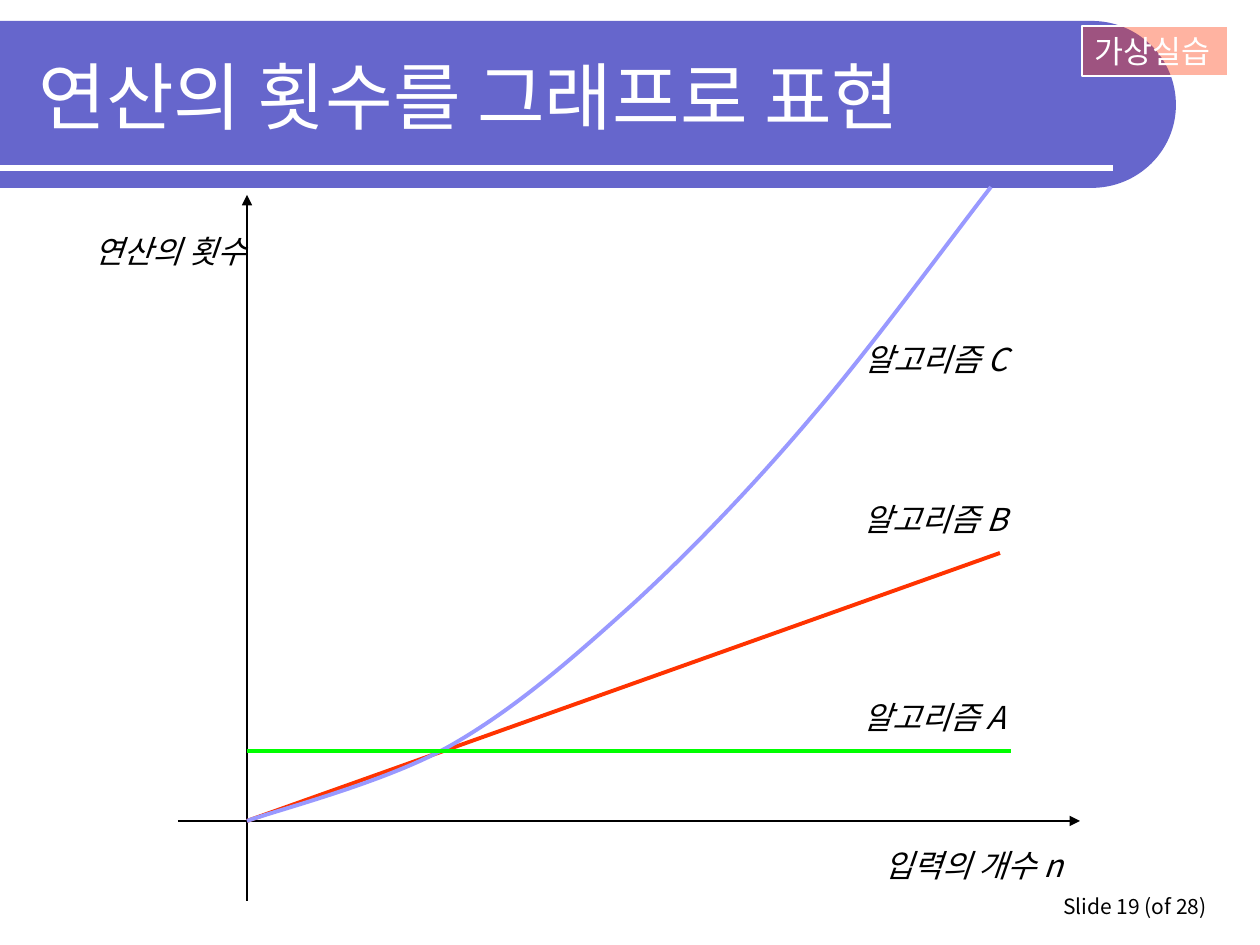
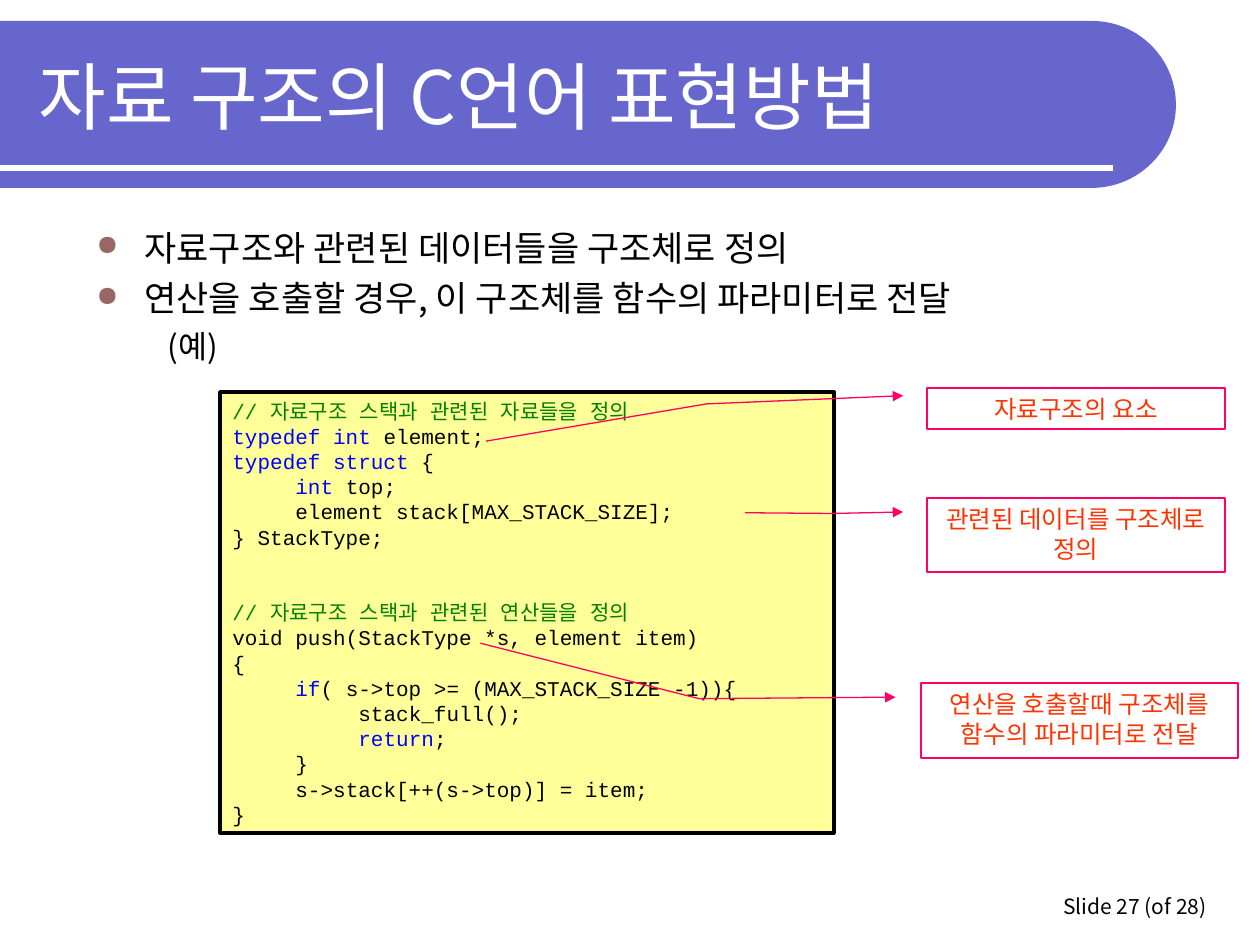
import lxml.etree
import pptx
import pptx.dml.color
import pptx.enum.shapes
import pptx.enum.text
import pptx.oxml.ns
import pptx.util

PX = pptx.util.Inches(1) // 126
FONT = "Noto Sans CJK KR"
CODE_FONT = "Courier New"
BLACK, WHITE, RED = "000000", "FFFFFF", "FF3300"
BAND, LILAC, GREEN = "6666CC", "9999FF", "00FF00"
CODE_FILL, COMMENT, KEYWORD = "FFFF99", "008000", "0000FF"
CALLOUT, BULLET = "FF0066", "996666"

rgb = pptx.dml.color.RGBColor.from_string
qn = pptx.oxml.ns.qn
child = lxml.etree.SubElement
MSO_SHAPE = pptx.enum.shapes.MSO_SHAPE
ALIGN = pptx.enum.text.PP_ALIGN
ANCHOR = pptx.enum.text.MSO_ANCHOR
FIT = pptx.enum.text.MSO_AUTO_SIZE


def format_runs(runs, size, color, italic=None, name=FONT):
    for run in runs:
        run.font.size = pptx.util.Pt(size)
        run.font.italic = italic
        run.font.name = name
        run.font.color.rgb = rgb(color)
        child(run._r.get_or_add_rPr(), qn("a:ea"), typeface=name)


def add_outline(shapes, start, segments, close):
    """Draw segments of one point (straight) or three points (Bezier curve)."""
    builder = shapes.build_freeform(*start, scale=PX)
    builder.add_line_segments([point for segment in segments for point in segment], close=close)
    shape = builder.convert_to_shape()
    shape.shadow.inherit = False
    steps = iter(shape.element.findall(".//" + qn("a:lnTo")))
    for segment in segments:
        pieces = [next(steps) for point in segment]
        if len(pieces) == 3:
            curve = lxml.etree.Element(qn("a:cubicBezTo"))
            pieces[0].addprevious(curve)
            for piece in pieces:
                curve.append(piece[0])
                piece.getparent().remove(piece)
    return shape


presentation = pptx.Presentation()
presentation.slide_width = pptx.util.Inches(10)
presentation.slide_height = pptx.util.Inches(7.5)
layout = presentation.slide_layouts[5]
for placeholder in list(layout.placeholders)[1:]:
    placeholder.element.getparent().remove(placeholder.element)

# Titles and slide numbers
slides = []
for title_text, number in [("연산의 횟수를 그래프로 표현", 19), ("자료 구조의 C언어 표현방법", 27)]:
    slide = presentation.slides.add_slide(layout)
    slides.append((slide, number))
    title = slide.shapes.title
    title.left, title.top, title.width, title.height = 26 * PX, 32 * PX, 1105 * PX, 126 * PX
    title.text_frame.text = title_text
    title.text_frame.auto_size = FIT.NONE
    title.text_frame.vertical_anchor = ANCHOR.MIDDLE
    title.text_frame.paragraphs[0].alignment = ALIGN.LEFT
    format_runs(title.text_frame.paragraphs[0].runs, 42, WHITE)

graph_slide, code_slide = [slide for slide, number in slides]
shapes = graph_slide.shapes

# Shared band and rule, placed on the layout behind the title
band = add_outline(shapes, (0, 21), [
    [(1092, 21)],
    [(1138, 21), (1176, 58), (1176, 105)],
    [(1176, 151), (1138, 188), (1092, 188)],
    [(0, 188)],
], close=True)
band.fill.solid()
band.fill.fore_color.rgb = rgb(BAND)
band.line.fill.background()

# Rule, axes and straight graph lines: x1, y1, x2, y2, colour, width, arrowhead
lines = []
for x1, y1, x2, y2, color, width, arrow in [
    (0, 168, 1113, 168, WHITE, 3, None),
    (247, 195, 247, 901, BLACK, 0.75, "a:headEnd"),
    (178, 821, 1080, 821, BLACK, 0.75, "a:tailEnd"),
    (247, 821, 1000, 553, RED, 2.25, None),
    (247, 751, 1011, 751, GREEN, 2.25, None),
]:
    connector = shapes.add_connector(
        pptx.enum.shapes.MSO_CONNECTOR.STRAIGHT, x1 * PX, y1 * PX, x2 * PX, y2 * PX)
    connector.line.color.rgb = rgb(color)
    connector.line.width = pptx.util.Pt(width)
    properties = connector.element.spPr
    if arrow:
        child(properties.find(qn("a:ln")), qn(arrow), type="triangle")
    child(properties, qn("a:effectLst"))
    lines.append(connector)
rule, constant_line = lines[0], lines[-1]
for position, shape in enumerate([band, rule], start=2):
    layout.shapes.element.insert(position, shape.element)

# Quadratic curve, below the constant line
curve = add_outline(shapes, (247, 821), [
    [(281, 809), (386, 782), (450, 746)],
    [(515, 709), (572, 659), (633, 604)],
    [(694, 548), (756, 483), (815, 413)],
    [(874, 344), (955, 233), (991, 187)],
], close=False)
curve.fill.background()
curve.line.color.rgb = rgb(LILAC)
curve.line.width = pptx.util.Pt(2.25)
constant_line.element.addprevious(curve.element)

# Axis and graph labels
for text, left, top, width in [
    ("입력의 개수 n", 872, 840, 223),
    ("연산의 횟수", 82, 226, 186),
    ("알고리즘 A", 851, 692, 186),
    ("알고리즘 B", 851, 494, 184),
    ("알고리즘 C", 852, 334, 184),
]:
    label = shapes.add_textbox(left * PX, top * PX, width * PX, 50 * PX)
    label.text_frame.text = text
    label.text_frame.word_wrap = False
    label.text_frame.auto_size = FIT.SHAPE_TO_FIT_TEXT
    format_runs(label.text_frame.paragraphs[0].runs, 18, BLACK, italic=True)

# Practice badge
badge = shapes.add_shape(MSO_SHAPE.RECTANGLE, 1082 * PX, 26 * PX, 146 * PX, 50 * PX)
badge.shadow.inherit = False
badge.fill.solid()
badge.fill.fore_color.rgb = rgb(RED)
child(badge.element.spPr.find(qn("a:solidFill"))[0], qn("a:alpha"), val="37000")
badge.line.color.rgb = rgb(WHITE)
badge.line.width = pptx.util.Pt(0.75)
badge.text_frame.text = "가상실습"
badge.text_frame.word_wrap = False
badge.text_frame.auto_size = FIT.SHAPE_TO_FIT_TEXT
badge.text_frame.vertical_anchor = ANCHOR.TOP
badge.text_frame.paragraphs[0].alignment = ALIGN.LEFT
format_runs(badge.text_frame.paragraphs[0].runs, 18, WHITE)

# Bulleted explanation
shapes = code_slide.shapes
body = shapes.add_textbox(84 * PX, 220 * PX, 1091 * PX, 659 * PX)
body.text_frame.word_wrap = True
body.text_frame.text = "\n".join([
    "자료구조와 관련된 데이터들을 구조체로 정의",
    "연산을 호출할 경우, 이 구조체를 함수의 파라미터로 전달",
    "(예)",
])
*bullets, example = body.text_frame.paragraphs
for paragraph in bullets:
    properties = paragraph._p.get_or_add_pPr()
    properties.set("marL", str(48 * PX))
    properties.set("indent", str(-48 * PX))
    child(child(properties, qn("a:buClr")), qn("a:srgbClr"), val=BULLET)
    child(properties, qn("a:buSzPct"), val="80000")
    child(properties, qn("a:buChar"), char="●")
    format_runs(paragraph.runs, 20, BLACK)
bullets[1].space_before = pptx.util.Pt(5)
example.level = 1
example._p.get_or_add_pPr().set("marL", str(71 * PX))
example.space_before = pptx.util.Pt(4.5)
format_runs(example.runs, 18, BLACK)

# Code listing: each line with the part to highlight
code_lines = [
    ("// 자료구조 스택과 관련된 자료들을 정의", None),
    ("typedef int element;", "typedef int"),
    ("typedef struct {", "typedef struct"),
    ("\tint top;", "int"),
    ("\telement stack[MAX_STACK_SIZE];", None),
    ("} StackType;", None),
    ("// 자료구조 스택과 관련된 연산들을 정의", None),
    ("void push(StackType *s, element item)", None),
    ("{", None),
    ("\tif( s->top >= (MAX_STACK_SIZE -1)){", "if"),
    ("\t\tstack_full();", None),
    ("\t\treturn;", "return"),
    ("\t}", None),
    ("\ts->stack[++(s->top)] = item;", None),
    ("}", None),
]
code_box = shapes.add_shape(MSO_SHAPE.RECTANGLE, 220 * PX, 392 * PX, 614 * PX, 441 * PX)
code_box.shadow.inherit = False
code_box.fill.solid()
code_box.fill.fore_color.rgb = rgb(CODE_FILL)
code_box.line.color.rgb = rgb(BLACK)
code_box.line.width = pptx.util.Pt(2)
code_box.text_frame.word_wrap = True
code_box.text_frame.vertical_anchor = ANCHOR.TOP
for index, (line, keyword) in enumerate(code_lines):
    frame = code_box.text_frame
    paragraph = frame.add_paragraph() if index else frame.paragraphs[0]
    paragraph.alignment = ALIGN.JUSTIFY
    paragraph.line_spacing = pptx.util.Pt(14.4)
    is_comment = line.startswith("//")
    if is_comment and index:
        paragraph.space_before = pptx.util.Pt(28.8)
    for part in line.partition(keyword) if keyword else [line]:
        if part:
            run = paragraph.add_run()
            run.text = part
            color = COMMENT if is_comment else KEYWORD if part == keyword else BLACK
            format_runs([run], 12, color, name=CODE_FONT)

# Callouts pointing into the code
for text, left, top, width, height, adjustments in [
    ("자료구조의 요소", 927, 388, 298, 41, (0.19, -0.08, 0.39, -0.74, 1.3, -1.48)),
    ("관련된 데이터를 구조체로 정의", 927, 498, 298, 74, (0.19, -0.08, 0.21, -0.32, 0.2, -0.61)),
    ("연산을 호출할때 구조체를 함수의 파라미터로 전달", 921, 683, 317, 75,
     (0.19, -0.08, 0.21, -0.7, -0.53, -1.39)),
]:
    callout = shapes.add_shape(
        MSO_SHAPE.LINE_CALLOUT_2, left * PX, top * PX, width * PX, height * PX)
    callout.shadow.inherit = False
    for index, value in enumerate(adjustments):
        callout.adjustments[index] = value
    callout.fill.background()
    callout.line.color.rgb = rgb(CALLOUT)
    callout.line.width = pptx.util.Pt(0.75)
    child(callout.element.spPr.find(qn("a:ln")), qn("a:headEnd"), type="triangle")
    callout.text_frame.text = text
    callout.text_frame.word_wrap = True
    callout.text_frame.vertical_anchor = ANCHOR.TOP
    callout.text_frame.paragraphs[0].alignment = ALIGN.CENTER
    format_runs(callout.text_frame.paragraphs[0].runs, 14, RED)

# Footers
for slide, number in slides:
    footer = slide.shapes.add_textbox(820 * PX, 862 * PX, 399 * PX, 63 * PX)
    footer.text_frame.text = f"Slide {number} (of 28)"
    footer.text_frame.word_wrap = True
    footer.text_frame.vertical_anchor = ANCHOR.BOTTOM
    footer.text_frame.paragraphs[0].alignment = ALIGN.RIGHT
    format_runs(footer.text_frame.paragraphs[0].runs, 12, BLACK)

presentation.save("out.pptx")
